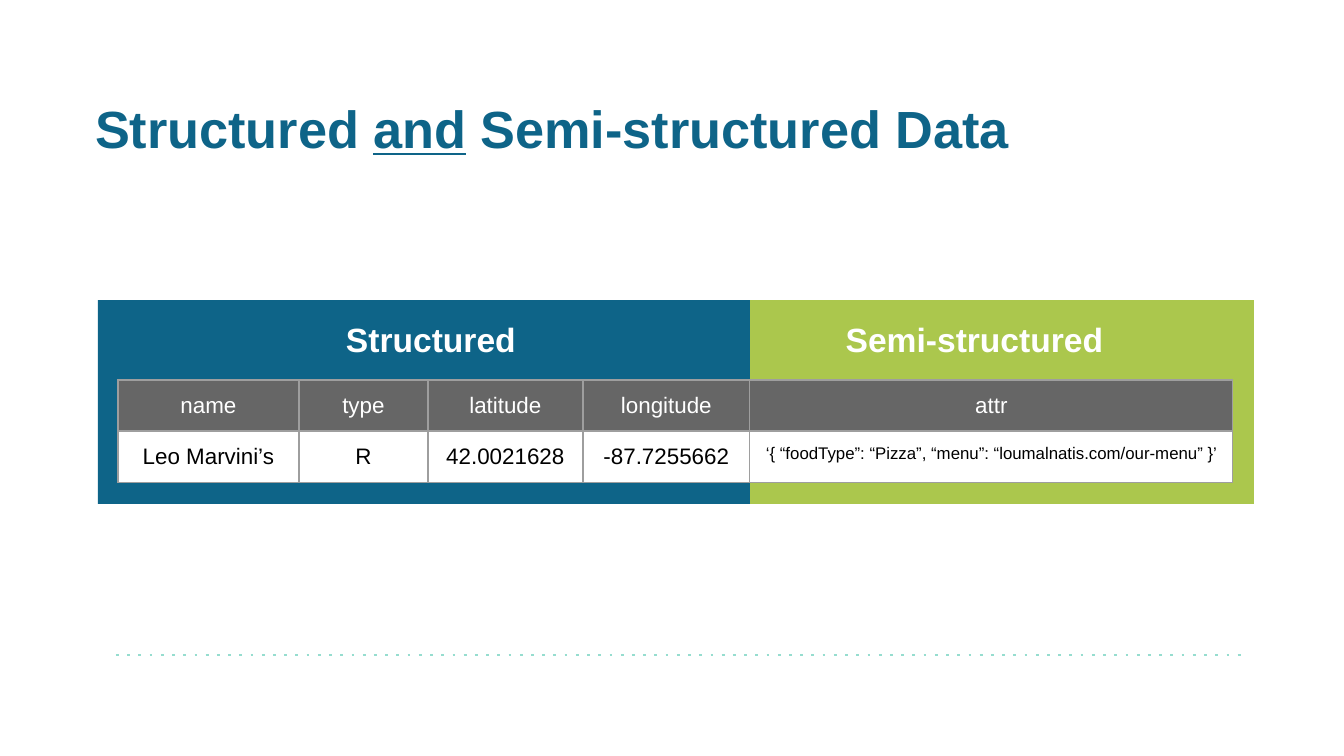
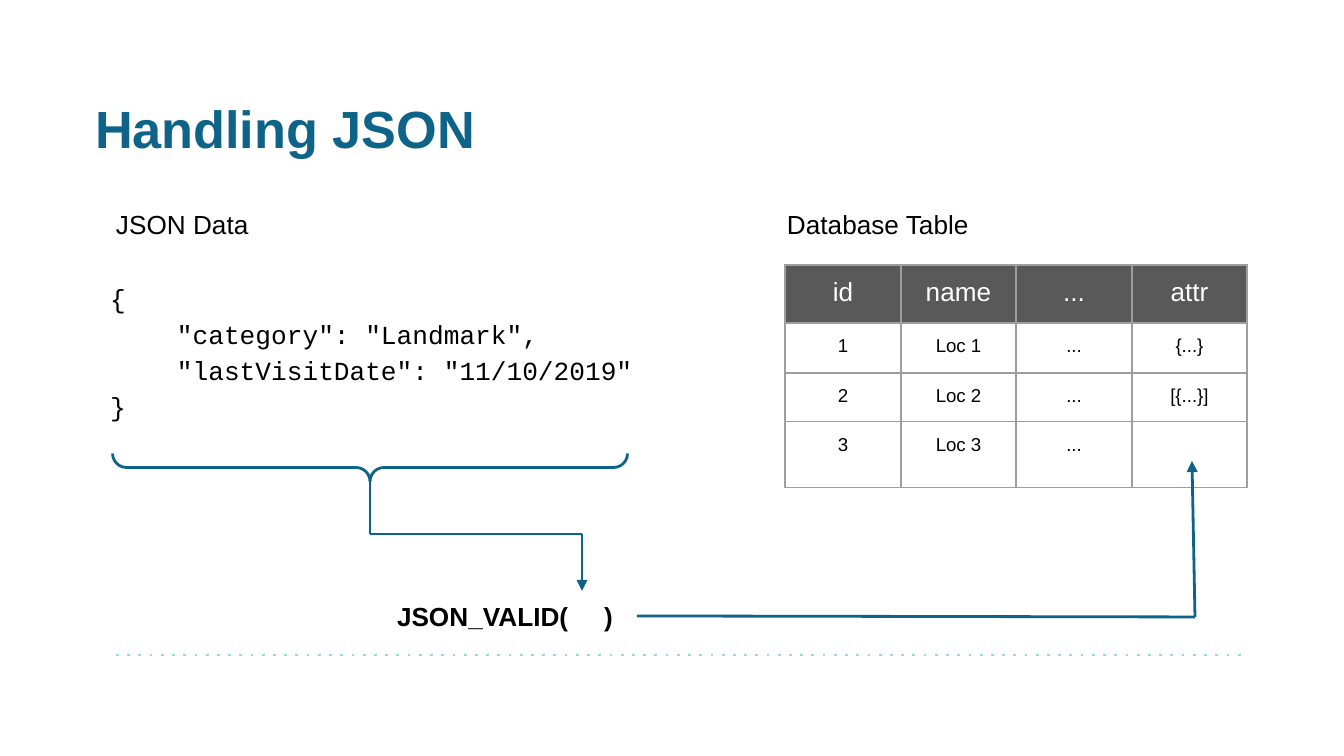
from lxml import etree
from pptx import Presentation
from pptx.dml.color import RGBColor
from pptx.enum.shapes import MSO_CONNECTOR, MSO_SHAPE
from pptx.enum.text import MSO_ANCHOR, MSO_AUTO_SIZE, PP_ALIGN
from pptx.oxml.ns import qn
from pptx.util import Emu, Pt

LEFT, CENTER = PP_ALIGN.LEFT, PP_ALIGN.CENTER
TOP = MSO_ANCHOR.TOP
FIT_TEXT, NO_FIT = MSO_AUTO_SIZE.SHAPE_TO_FIT_TEXT, MSO_AUTO_SIZE.NONE
RECTANGLE, RIGHT_BRACE = MSO_SHAPE.RECTANGLE, MSO_SHAPE.RIGHT_BRACE
STRAIGHT = MSO_CONNECTOR.STRAIGHT

PX = 914400 / 134.4
SANS, MONO = "Arial", "Courier New"
TITLE_ONLY = 5
INSET = 13
COLORS = {
    "blue": "0E6488",
    "green": "ABC74D",
    "mint": "96DDCF",
    "black": "000000",
    "white": "FFFFFF",
    "places_header": "666666",
    "database_header": "595959",
    "border": "9E9E9E",
}


def px(length):
    return Emu(round(length * PX))


def rgb(color):
    return RGBColor.from_string(COLORS[color])


def add_run(paragraph, text, size, color, bold=False, font=SANS, underline=False):
    run = paragraph.add_run()
    run.text = text
    run.font.name = font
    run.font.size = Pt(size)
    run.font.bold = bold
    run.font.underline = underline
    run.font.color.rgb = rgb(color)


def set_frame(frame, inset, fit=NO_FIT):
    frame.word_wrap = True
    frame.auto_size = fit
    frame.vertical_anchor = TOP
    frame.margin_left = frame.margin_right = px(inset)
    frame.margin_top = frame.margin_bottom = px(inset)


def add_box(slide, box, inset=INSET, fit=FIT_TEXT):
    frame = slide.shapes.add_textbox(*map(px, box)).text_frame
    set_frame(frame, inset, fit)
    return frame


def add_label(slide, box, text, bold=False):
    paragraph = add_box(slide, box).paragraphs[0]
    add_run(paragraph, text, 14, "black", bold)
    return paragraph


def add_band(slide, box, color):
    band = slide.shapes.add_shape(RECTANGLE, *map(px, box))
    band.shadow.inherit = False
    band.fill.solid()
    band.fill.fore_color.rgb = rgb(color)
    band.line.fill.background()


def add_band_heading(slide, box, text):
    paragraph = add_box(slide, box, inset=10, fit=NO_FIT).paragraphs[0]
    paragraph.alignment = CENTER
    add_run(paragraph, text, 18, "white", bold=True)


def add_line(slide, start, end, color="blue", dash=None, arrow=False):
    line = slide.shapes.add_connector(STRAIGHT, *map(px, start + end))
    line.line.color.rgb = rgb(color)
    line.line.width = Pt(1.5)
    properties = line._element.spPr
    outline = properties.find(qn("a:ln"))
    if dash:
        etree.SubElement(outline, qn("a:prstDash"), val=dash)
    if arrow:
        etree.SubElement(outline, qn("a:tailEnd"), type="triangle")
    etree.SubElement(properties, qn("a:effectLst"))


def add_arrow_path(slide, points):
    for start, end in zip(points, points[1:]):
        add_line(slide, start, end, arrow=end == points[-1])


def add_brace(slide, box):
    brace = slide.shapes.add_shape(RIGHT_BRACE, *map(px, box))
    brace.rotation = 90
    brace.adjustments[0] = brace.adjustments[1] = 0.5
    brace.shadow.inherit = False
    brace.fill.background()
    brace.line.color.rgb = rgb("blue")
    brace.line.width = Pt(1.5)


def add_borders(cell):
    properties = cell._tc.get_or_add_tcPr()
    for position, side in enumerate(("lnL", "lnR", "lnT", "lnB")):
        border = etree.Element(qn(f"a:{side}"), w=str(Pt(0.75)))
        fill = etree.SubElement(border, qn("a:solidFill"))
        etree.SubElement(fill, qn("a:srgbClr"), val=COLORS["border"])
        properties.insert(position, border)


def fill_cell(cell, text, size, color, fill):
    cell.margin_left = cell.margin_right = px(INSET)
    cell.margin_top = cell.margin_bottom = px(INSET)
    cell.vertical_anchor = TOP
    if fill:
        cell.fill.solid()
        cell.fill.fore_color.rgb = rgb(fill)
    else:
        cell.fill.background()
    add_borders(cell)
    if text:
        paragraph = cell.text_frame.paragraphs[0]
        paragraph.alignment = CENTER
        add_run(paragraph, text, size, color)


def add_data_table(slide, corner, widths, heights, rows, sizes, header_fill, body_fill=None):
    extent = (sum(widths), sum(heights))
    frame = slide.shapes.add_table(len(rows), len(widths), *map(px, corner + extent))
    table = frame.table
    table.first_row = table.horz_banding = False
    for column, width in zip(table.columns, widths):
        column.width = px(width)
    for row, height in zip(table.rows, heights):
        row.height = px(height)
    for r, (texts, row_sizes) in enumerate(zip(rows, sizes)):
        color, fill = ("black", body_fill) if r else ("white", header_fill)
        for c, (text, size) in enumerate(zip(texts, row_sizes)):
            fill_cell(table.cell(r, c), text, size, color, fill)


def add_json(slide, box, lines):
    frame = add_box(slide, box)
    for number, (text, indent) in enumerate(lines):
        paragraph = frame.add_paragraph() if number else frame.paragraphs[0]
        paragraph.line_spacing = 1.15
        if indent:
            properties = paragraph._p.get_or_add_pPr()
            properties.set("marL", str(px(indent)))
            properties.set("indent", "0")
        add_run(paragraph, text, 14, "black", font=MONO)


def add_call(slide, box, opening, closing, stop):
    paragraph = add_label(slide, box, opening, bold=True)
    tabs = etree.SubElement(paragraph._p.get_or_add_pPr(), qn("a:tabLst"))
    etree.SubElement(tabs, qn("a:tab"), pos=str(px(stop)), algn="l")
    add_run(paragraph, "\t" + closing, 14, "black", bold=True)


def add_titled_slide(deck, *parts):
    slide = deck.slides.add_slide(deck.slide_layouts[TITLE_ONLY])
    title = slide.shapes.title
    title.left, title.top, title.width, title.height = map(px, (82, 83, 1148, 85))
    set_frame(title.text_frame, INSET)
    paragraph = title.text_frame.paragraphs[0]
    paragraph.alignment = LEFT
    for text, underline in parts:
        add_run(paragraph, text, 28, "blue", bold=True, underline=underline)
    add_line(slide, (116, 655), (1246, 655), "mint", dash="dot")
    return slide


def build_structured(deck):
    slide = add_titled_slide(
        deck, ("Structured ", False), ("and", True), (" Semi-structured Data", False)
    )
    add_band(slide, (715, 300, 539, 204), "green")
    add_band(slide, (98, 300, 652, 204), "blue")
    add_band_heading(slide, (146, 309, 570, 82), "Structured")
    add_band_heading(slide, (715, 309, 519, 82), "Semi-structured")
    attributes = "‘{ “foodType”: “Pizza”, “menu”: “loumalnatis.com/our-menu” }’"
    places = [
        ["name", "type", "latitude", "longitude", "attr"],
        ["Leo Marvini’s", "R", "42.0021628", "-87.7255662", attributes],
    ]
    add_data_table(
        slide, (118, 380), [181, 129, 155, 167, 483], [48, 46], places,
        [[12] * 5, [12] * 4 + [9]], "places_header", "white",
    )


def build_handling(deck):
    slide = add_titled_slide(deck, ("Handling JSON", False))
    add_json(slide, (97, 265, 598, 168), [
        ("{", 0),
        ('"category": "Landmark", "lastVisitDate": "11/10/2019"', 67),
        ("}", 0),
    ])
    add_call(slide, (384, 587, 253, 59), "JSON_VALID(", ")", 207)
    add_brace(slide, (356, 210, 28, 515))
    locations = [
        ["id", "name", "...", "attr"],
        ["1", "Loc 1", "...", "{...}"],
        ["2", "Loc 2", "...", "[{...}]"],
        ["3", "Loc 3", "...", ""],
    ]
    add_data_table(
        slide, (785, 265), [116, 115] * 2, [58, 50, 46, 43], locations,
        [[14] * 4] + [[10] * 4] * 3, "database_header",
    )
    add_arrow_path(slide, [(370, 481), (370, 534), (582, 534), (582, 591)])
    add_arrow_path(slide, [(637, 616), (1195, 617), (1192, 461)])
    add_label(slide, (103, 195, 203, 59), "JSON Data")
    add_label(slide, (774, 195, 247, 59), "Database Table")


def main():
    deck = Presentation()
    deck.slide_width, deck.slide_height = px(1344), px(756)
    build_structured(deck)
    build_handling(deck)
    deck.save("out.pptx")


if __name__ == "__main__":
    main()
